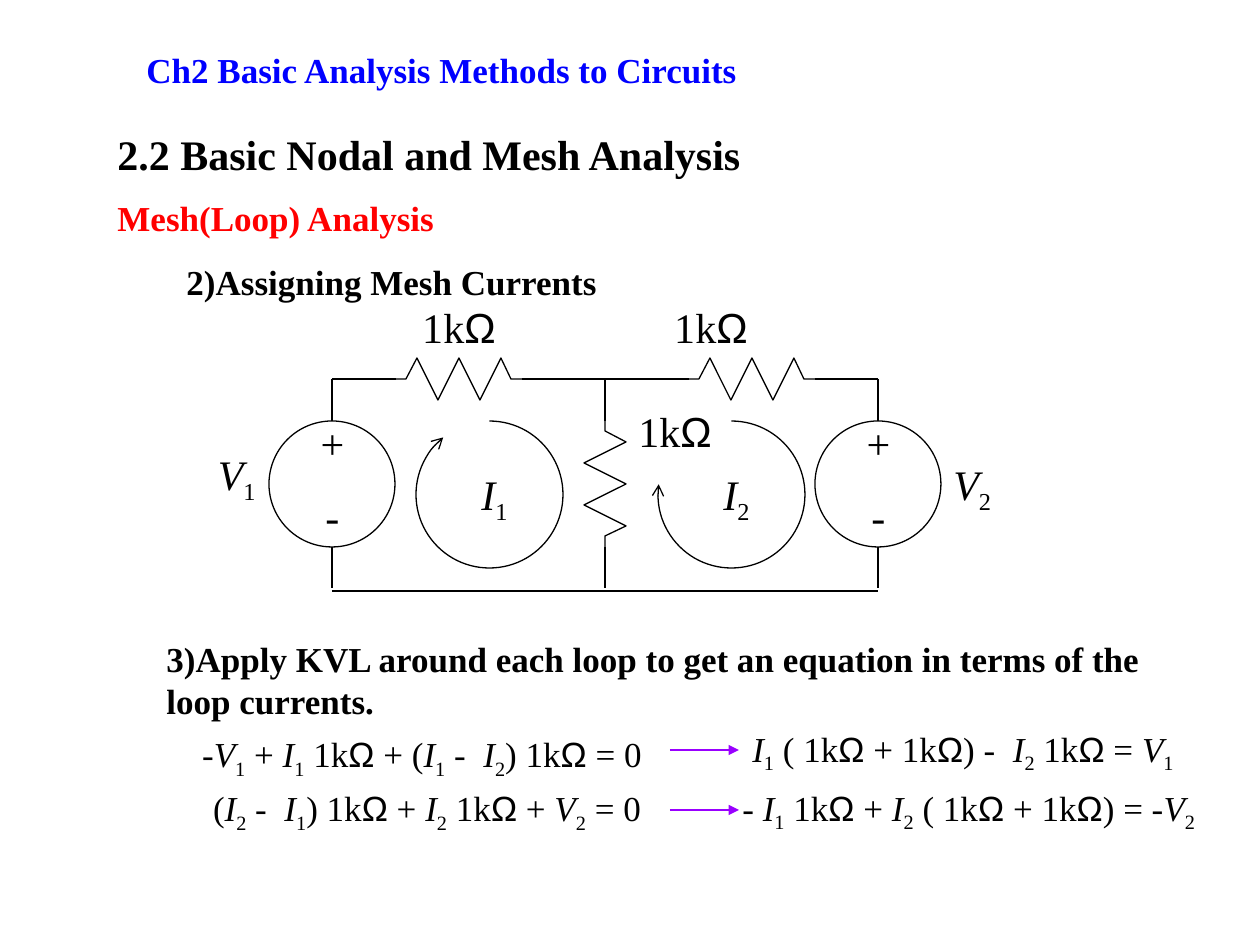
from itertools import groupby

from lxml.etree import SubElement
from pptx import Presentation
from pptx.dml.color import RGBColor as Rgb
from pptx.enum.shapes import MSO_CONNECTOR as Link, MSO_SHAPE as Kind
from pptx.enum.text import MSO_ANCHOR as Anchor, PP_ALIGN as Align
from pptx.oxml.ns import qn
from pptx.util import Pt


class Theme:
    """Colours, fonts and sizes of the slide."""
    ink, blue, red, violet = (
        Rgb.from_string(c) for c in ("000000", "0000FF", "FF0000", "9900FF"))
    serif, sans = "Times New Roman", "Arial"
    big, mid, thin = Pt(24), Pt(20), Pt(0.75)


def px(n):
    """Turn px into EMU."""
    return round(n * 914400 / 126)


def style(words, i):
    """Name the style of one character: symbol, index, omega or plain."""
    prev, char, after = words[i - 1:i], words[i], words[i + 1:i + 2]
    if char in "VI" and after.isdigit():
        return "symbol"
    if char.isdigit() and prev in ("V", "I"):
        return "index"
    return "omega" if char == "Ω" else "plain"


def text(slide, box, words, size=Theme.big, color=Theme.ink, bold=False,
         align=Align.LEFT):
    """Add a text box with italic symbols and lowered indices."""
    frame = slide.shapes.add_textbox(*map(px, box)).text_frame
    frame.word_wrap = True
    para = frame.paragraphs[0]
    para.alignment = align
    for name, group in groupby(range(len(words)), lambda i: style(words, i)):
        run = para.add_run()
        run.text = "".join(words[i] for i in group)
        font = run.font
        font.name = Theme.sans if name == "omega" else Theme.serif
        font.size, font.bold, font.italic = size, bold, name == "symbol"
        font.color.rgb = color
        if name == "index":
            run._r.get_or_add_rPr().set("baseline", "-25000")
    return frame


def tip(line, kind):
    """Put an arrowhead at the end of a line."""
    SubElement(line._get_or_add_ln(), qn("a:tailEnd"), type=kind)


def wire(slide, x1, y1, x2, y2, color=Theme.ink):
    """Draw a straight thin line."""
    link = slide.shapes.add_connector(
        Link.STRAIGHT, px(x1), px(y1), px(x2), px(y2))
    link.line.color.rgb, link.line.width = color, Theme.thin
    SubElement(link._element.spPr, qn("a:effectLst"))
    return link


def hollow(shape):
    """Leave only a thin outline on a shape."""
    shape.shadow.inherit = False
    shape.fill.background()
    shape.line.color.rgb, shape.line.width = Theme.ink, Theme.thin
    return shape


def coil(slide, x, y, down=False):
    """Draw a resistor that starts at a point."""
    steps = (0, 10, 21, 42, 63, 84, 105, 115, 126)
    sides = (0, 0, -21, 21, -21, 21, -21, 0, 0)
    spots = [(px(x - b), px(y + a)) if down else (px(x + a), px(y + b))
             for a, b in zip(steps, sides)]
    pen = slide.shapes.build_freeform(*spots[0], scale=1.0)
    pen.add_line_segments(spots[1:], close=False)
    hollow(pen.convert_to_shape())


def source(slide, x, y):
    """Draw a voltage source with its two leads."""
    hollow(slide.shapes.add_shape(Kind.OVAL, px(x), px(y), px(126), px(126)))
    for sign, drop in (("+", -10), ("-", 63)):
        text(slide, (x + 32, y + drop, 63, 63), sign, align=Align.CENTER)
    wire(slide, x + 63, y - 42, x + 63, y)
    wire(slide, x + 63, y + 126, x + 63, y + 167)


def mesh(slide, x, y, end, name):
    """Draw a loop current that turns clockwise to an end angle."""
    arc = hollow(slide.shapes.add_shape(
        Kind.ARC, px(x), px(y), px(147), px(147)))
    for i, angle in enumerate((270, end)):
        arc.adjustments[i] = angle * 0.6
    tip(arc.line, "arrow")
    text(slide, (x + 42, y + 41, 73, 70), name, align=Align.CENTER)


def circuit(slide, box):
    """Draw the two-mesh circuit in its box."""
    x, y, wide, high = box
    left, mid, right = x + 137, x + 410, x + 683
    top, head, foot = y + 84, y + 126, y + 252
    one, two = x + 201, x + 494
    for at in (left, right):
        source(slide, at - 63, head)
    for a, b in ((left, one), (one + 126, two), (two + 126, right)):
        wire(slide, a, top, b, top)
    wire(slide, mid, top, mid, head)
    wire(slide, mid, foot, mid, foot + 41)
    wire(slide, left, y + high, right, y + high)
    coil(slide, one, top)
    coil(slide, two, top)
    coil(slide, mid, head, down=True)
    for at, drop, align in ((201, 0, Align.CENTER), (453, 0, Align.CENTER),
                            (431, 104, Align.LEFT)):
        text(slide, (x + at, y + drop, 126, 63), "1kΩ", align=align)
    text(slide, (x, y + 147, 73, 70), "V1", align=Align.RIGHT)
    text(slide, (x + wide - 73, y + 157, 73, 70), "V2")
    mesh(slide, x + 221, head, 231, "I1")
    mesh(slide, x + 463, head, 188, "I2")


def heads(slide, box):
    """Write the chapter, section and step headings."""
    x, y, wide, high = box
    frame = text(slide, (x + 29, y, wide - 29, 69),
                 "Ch2 Basic Analysis Methods to Circuits",
                 Theme.mid, Theme.blue, True)
    frame.vertical_anchor = Anchor.MIDDLE
    text(slide, (x, y + 87, 766, 63), "2.2 Basic Nodal and Mesh Analysis",
         bold=True)
    text(slide, (x, y + 155, 596, 55), "Mesh(Loop) Analysis",
         Theme.mid, Theme.red, True)
    text(slide, (x + 69, y + high - 55, 486, 55), "2)Assigning Mesh Currents",
         Theme.mid, bold=True)


def sums(slide, box):
    """Write the loop equations and their rearranged forms."""
    x, y, wide, high = box
    text(slide, (x + 20, y, 1022, 97),
         "3)Apply KVL around each loop to get an equation in terms of the "
         "loop currents.", Theme.mid, bold=True)
    first = text(slide, (x + 50, y + 100, 476, 59),
                 "-V1 + I1 1kΩ + (I1 -  I2) 1kΩ = 0", Theme.mid,
                 align=Align.CENTER)
    first.paragraphs[0].line_spacing = 0.8
    text(slide, (x, y + 149, 586, 59), "(I2 -  I1) 1kΩ + I2 1kΩ + V2 = 0",
         Theme.mid, align=Align.CENTER)
    text(slide, (x + 606, y + 90, 451, 69), "I1 ( 1kΩ + 1kΩ) -  I2 1kΩ = V1",
         Theme.mid)
    text(slide, (x + wide - 506, y + 149, 506, 49),
         "- I1 1kΩ + I2 ( 1kΩ + 1kΩ) = -V2", Theme.mid)
    for drop in (119, 179):
        arrow = wire(slide, x + 536, y + drop, x + 605, y + drop, Theme.violet)
        tip(arrow.line, "triangle")


def main():
    """Build and save the slide."""
    deck = Presentation()
    deck.slide_width, deck.slide_height = px(1260), px(945)
    slide = deck.slides.add_slide(deck.slide_layouts[6])
    heads(slide, (105, 35, 1061, 274))
    circuit(slide, (195, 295, 819, 296))
    sums(slide, (134, 631, 1102, 208))
    deck.save("out.pptx")


if __name__ == "__main__":
    main()
